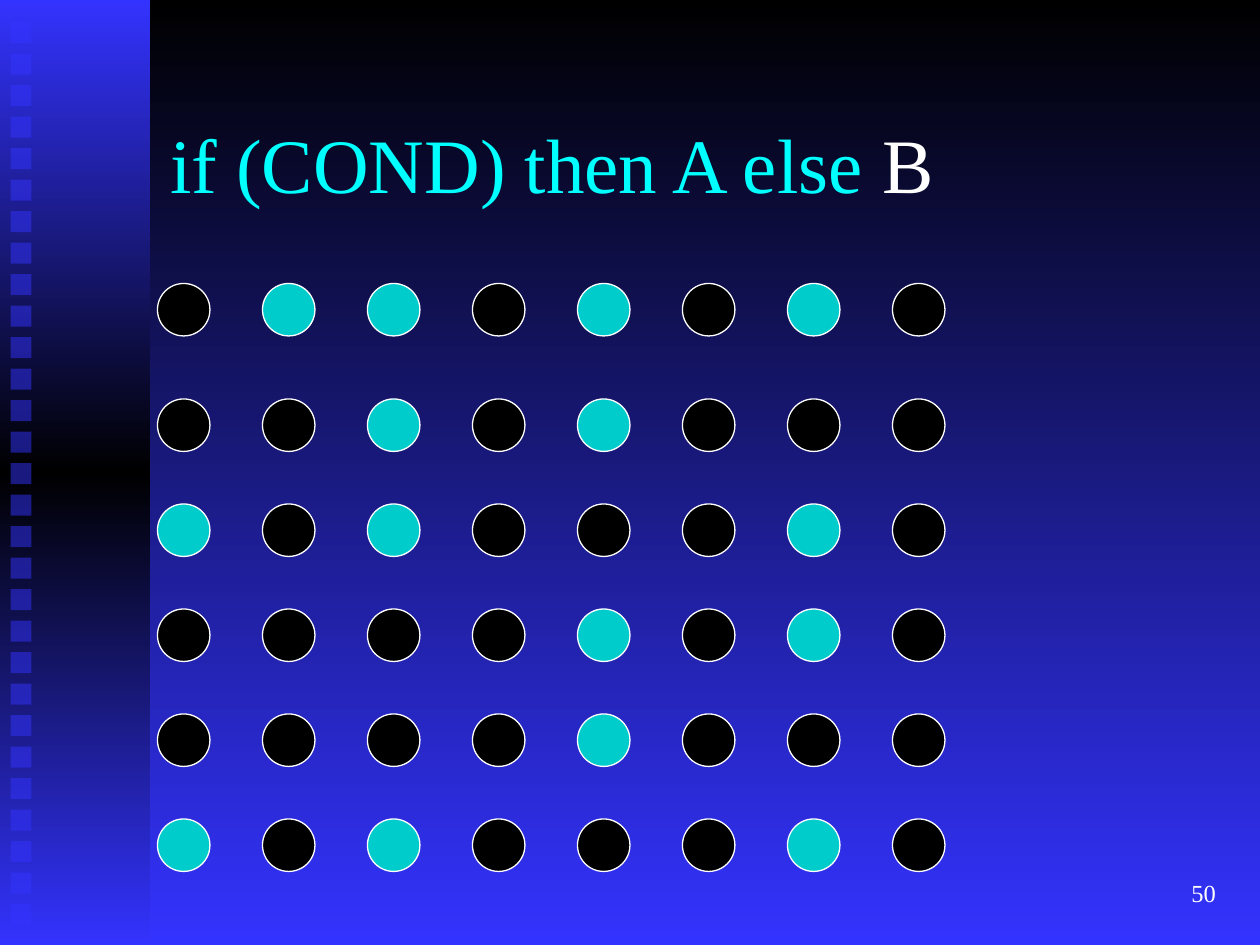
"""Build the slide on data-parallel branching: if (COND) then A else B."""
from copy import deepcopy
from dataclasses import dataclass

from lxml import etree
from pptx import Presentation
from pptx import util as u
from pptx.dml.color import RGBColor
from pptx.enum import shapes, text
from pptx.oxml import ns

PX = u.Inches(1) // 120


@dataclass(frozen=True)
class Theme:
    font: str = "Times New Roman"
    title_size: int = 44
    number_size: int = 14
    black: RGBColor = RGBColor(0, 0, 0)
    white: RGBColor = RGBColor(255, 255, 255)
    blue: RGBColor = RGBColor(0x33, 0x33, 0xFF)
    cyan: RGBColor = RGBColor(0, 255, 255)
    teal: RGBColor = RGBColor(0, 0xCC, 0xCC)


theme = Theme()


def add_gradient(fill, owner, colors):
    fill.gradient()
    fill.gradient_angle = 270
    stops = owner.find(".//" + ns.qn("a:gsLst"))
    while len(stops) < len(colors):
        stops.append(deepcopy(stops[-1]))
    for index, (stop, color) in enumerate(zip(fill.gradient_stops, colors)):
        stop.position = index / (len(colors) - 1)
        stop.color.rgb = color


def write(box, *parts, size, align=text.PP_ALIGN.LEFT):
    frame = box.text_frame
    frame.word_wrap = True
    frame.auto_size = text.MSO_AUTO_SIZE.NONE
    frame.vertical_anchor = text.MSO_ANCHOR.MIDDLE
    para = frame.paragraphs[0]
    para.alignment = align
    for words, color in parts:
        span = para.add_run()
        span.text = words
        span.font.name = theme.font
        span.font.size = u.Pt(size)
        span.font.color.rgb = color


deck = Presentation()
deck.slide_width, deck.slide_height = 1200 * PX, 900 * PX
page = deck.slides.add_slide(deck.slide_layouts[5])
add_gradient(page.background.fill, page._element, (theme.black, theme.blue))

sidebar = page.shapes.add_group_shape()
band = sidebar.shapes.add_shape(shapes.MSO_SHAPE.RECTANGLE, 0, 0, 143 * PX, 900 * PX)
band.shadow.inherit = False
band.line.fill.background()
add_gradient(band.fill, band._element, (theme.blue, theme.black, theme.blue))

for step in range(29):
    square = sidebar.shapes.add_shape(
        shapes.MSO_SHAPE.RECTANGLE, 10 * PX, (21 + 30 * step) * PX, 20 * PX, 20 * PX)
    square.shadow.inherit = False
    square.line.fill.background()
    square.fill.solid()
    square.fill.fore_color.rgb = theme.blue
    tint = square._element.spPr.find(ns.qn("a:solidFill"))[0]
    etree.SubElement(tint, ns.qn("a:alpha"), val="50000")

title = page.shapes.title
title.left, title.top, title.width, title.height = 150 * PX, 80 * PX, 1020 * PX, 150 * PX
write(title, ("if (COND) then A else ", theme.cyan), ("B", theme.white), size=theme.title_size)

rows = {
    270: "01101010",
    380: "00101000",
    480: "10100010",
    580: "00001010",
    680: "00001000",
    780: "10100010",
}
lanes = page.shapes.add_group_shape()
for top, states in rows.items():
    for column, state in enumerate(states):
        circle = lanes.shapes.add_shape(
            shapes.MSO_SHAPE.OVAL, (150 + 100 * column) * PX, top * PX, 50 * PX, 50 * PX)
        circle.shadow.inherit = False
        circle.fill.solid()
        circle.fill.fore_color.rgb = theme.teal if state == "1" else theme.black
        circle.line.color.rgb = theme.white
        circle.line.width = u.Pt(0.75)

number = page.shapes.add_textbox(920 * PX, 820 * PX, 250 * PX, 60 * PX)
write(number, ("50", theme.white), size=theme.number_size, align=text.PP_ALIGN.RIGHT)

deck.save("out.pptx")
